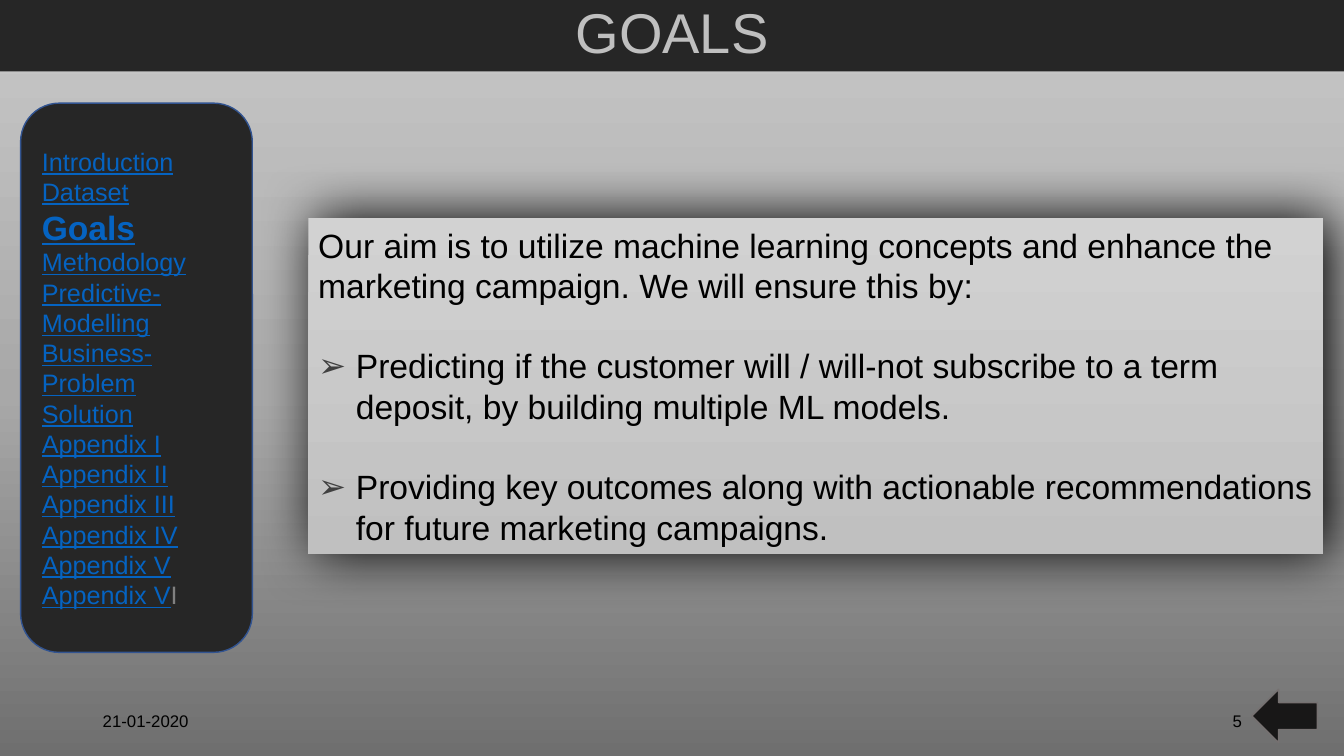
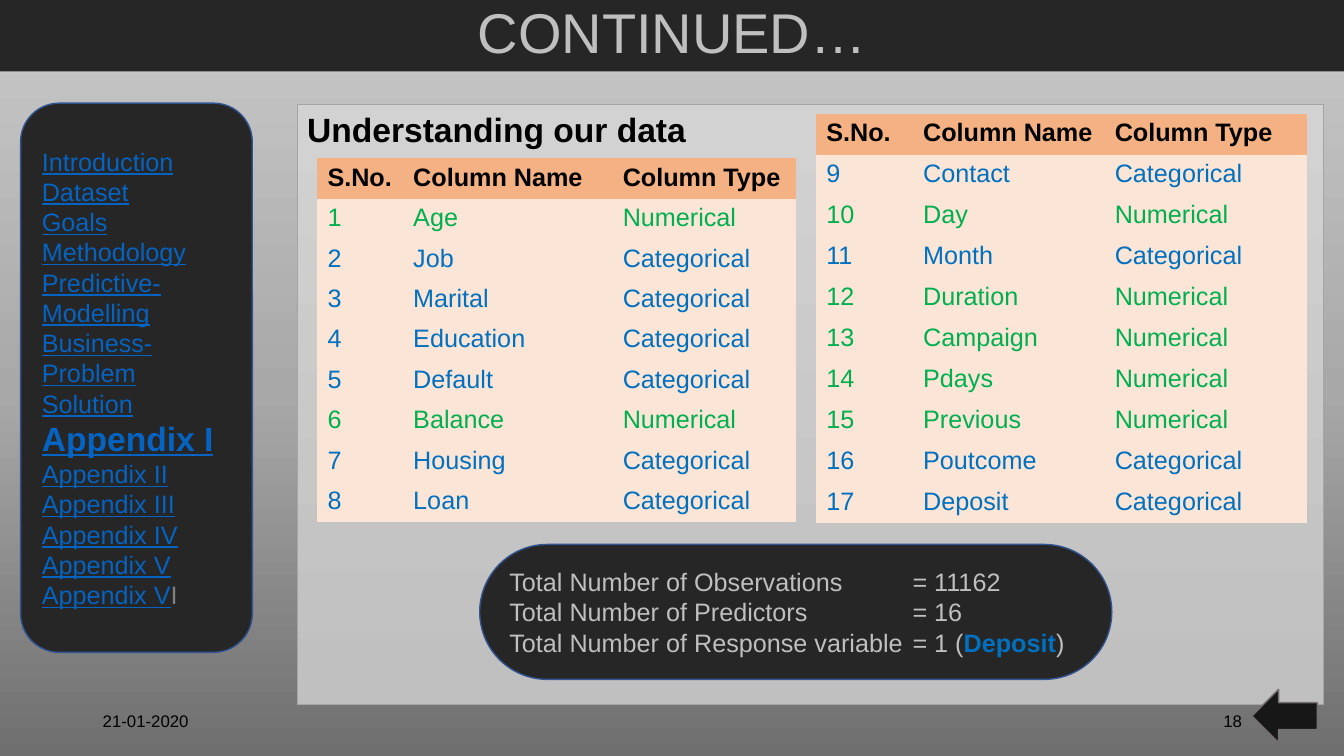
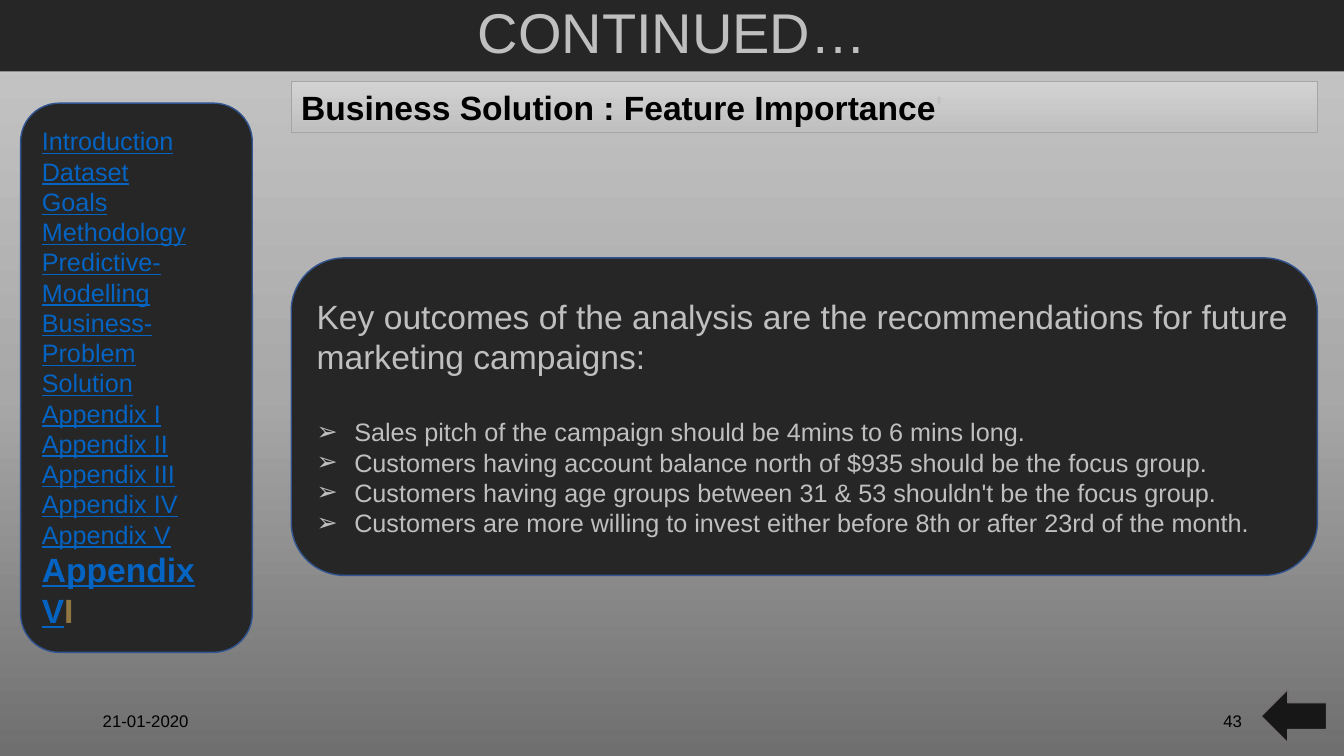
from dataclasses import dataclass

from lxml.etree import SubElement
from pptx import Presentation
from pptx.dml.color import RGBColor
from pptx.enum.shapes import MSO_SHAPE as Shape
from pptx.enum.text import MSO_ANCHOR as Anchor, MSO_AUTO_SIZE as AutoSize, PP_ALIGN as Align
from pptx.oxml.ns import qn
from pptx.util import Cm, Pt


@dataclass(frozen=True)
class Theme:
    font: str = "Arial"
    title_size: float = 40
    large: float = 24
    body: float = 18
    footer: float = 12
    dark: str = "262626"
    outline: str = "325491"
    light: str = "BFBFBF"
    black: str = "000000"
    link: str = "0563C1"
    link_end: str = "808080"
    link_end_current: str = "91763F"
    bullet: str = "404040"
    arrow: str = "181717"
    arrow_line: str = "767171"
    panel: tuple = ("D2D2D2", "C0C0C0")
    panel_line: str = "A5A5A5"
    page: tuple = ((0, "6F6F6F"), (48, "A8A8A8"), (100, "C9C9C9"))
    table_head: str = "F4B183"
    table_body: str = "FBE5D6"
    numerical: str = "00B050"
    categorical: str = "0070C0"


theme = Theme()


def write(frame, text, size=theme.body, color=theme.light, bold=False, underline=False,
          align=Align.LEFT, before=0, bullet=None, tab=None, same_line=False):
    paragraph = frame.paragraphs[-1]
    if not same_line:
        if paragraph.runs:
            paragraph = frame.add_paragraph()
        paragraph.alignment = align
        properties = paragraph._p.get_or_add_pPr()
        if bullet:
            properties.set("marL", str(Cm(0.95)))
            properties.set("indent", str(-Cm(0.95)))
            bullet_color = SubElement(properties, qn("a:buClr"))
            SubElement(bullet_color, qn("a:srgbClr"), val=bullet)
            SubElement(properties, qn("a:buFont"), typeface=theme.font)
            SubElement(properties, qn("a:buChar"), char="➢")
        if tab:
            tabs = SubElement(properties, qn("a:tabLst"))
            SubElement(tabs, qn("a:tab"), pos=str(tab), algn="l")
        if before:
            paragraph.space_before = Pt(before)
    run = paragraph.add_run()
    run.text = text
    run.font.name = theme.font
    run.font.size = Pt(size)
    run.font.bold = bold
    run.font.underline = underline
    run.font.color.rgb = RGBColor.from_string(color)
    return paragraph


def add_box(slide, kind, left, top, width, height, fill=theme.dark, line=theme.outline,
            line_width=1, anchor=Anchor.MIDDLE):
    shape = slide.shapes.add_shape(kind, Cm(left), Cm(top), Cm(width), Cm(height))
    shape.shadow.inherit = False
    if isinstance(fill, tuple):
        shape.fill.gradient()
        shape.fill.gradient_angle = 270
        for stop, color in zip(shape.fill.gradient_stops, fill):
            stop.color.rgb = RGBColor.from_string(color)
    else:
        shape.fill.solid()
        shape.fill.fore_color.rgb = RGBColor.from_string(fill)
    if line:
        shape.line.color.rgb = RGBColor.from_string(line)
        shape.line.width = Pt(line_width)
    else:
        shape.line.fill.background()
    shape.text_frame.vertical_anchor = anchor
    return shape


presentation = Presentation()
presentation.slide_width = Cm(33.87)
presentation.slide_height = Cm(19.05)

master = presentation.slide_master
master.background.fill.gradient()
master.background.fill.gradient_angle = 90
stops = master.element.find(".//" + qn("p:bg")).find(".//" + qn("a:gsLst"))
for stop in list(stops):
    stops.remove(stop)
for position, color in theme.page:
    stop = SubElement(stops, qn("a:gs"), pos=str(position * 1000))
    SubElement(stop, qn("a:srgbClr"), val=color)

title_only = presentation.slide_layouts[5]
goals, data, outcomes = [presentation.slides.add_slide(title_only) for _ in range(3)]

panel = add_box(goals, Shape.RECTANGLE, 7.77, 5.49, 25.58, 8.46, fill=theme.panel, line=None)
effects = panel.element.spPr.find(qn("a:effectLst"))
shadow = SubElement(effects, qn("a:outerShdw"), blurRad=str(Pt(40)), dist=str(Pt(5)),
                    dir="0", algn="ctr", rotWithShape="0")
SubElement(shadow, qn("a:srgbClr"), val=theme.black)
write(panel.text_frame, "Our aim is to utilize machine learning concepts and enhance the marketing "
      "campaign. We will ensure this by:", size=theme.large, color=theme.black)
for goal in (
    "Predicting if the customer will / will-not subscribe to a term deposit, by building "
    "multiple ML models.",
    "Providing key outcomes along with actionable recommendations for future marketing campaigns.",
):
    write(panel.text_frame, goal, size=theme.large, color=theme.black, before=28.8,
          bullet=theme.bullet)

panel = add_box(data, Shape.RECTANGLE, 7.49, 2.62, 25.86, 15.14, fill=theme.panel,
                line=theme.panel_line, line_width=0.5, anchor=Anchor.TOP)
write(panel.text_frame, "Understanding our data", size=theme.large, color=theme.black, bold=True)

columns = [
    ("Age", "Numerical"), ("Job", "Categorical"), ("Marital", "Categorical"),
    ("Education", "Categorical"), ("Default", "Categorical"), ("Balance", "Numerical"),
    ("Housing", "Categorical"), ("Loan", "Categorical"), ("Contact", "Categorical"),
    ("Day", "Numerical"), ("Month", "Categorical"), ("Duration", "Numerical"),
    ("Campaign", "Numerical"), ("Pdays", "Numerical"), ("Previous", "Numerical"),
    ("Poutcome", "Categorical"), ("Deposit", "Categorical"),
]
numbered = [(str(number), *column) for number, column in enumerate(columns, 1)]
for left, top, height, widths, rows in (
    (8, 3.99, 9.17, (2.16, 5.28, 4.62), numbered[:8]),
    (20.57, 2.87, 10.31, (2.44, 4.83, 5.11), numbered[8:]),
):
    rows = [("S.No.", "Column Name", "Column Type"), *rows]
    frame = data.shapes.add_table(len(rows), len(widths), Cm(left), Cm(top),
                                  Cm(sum(widths)), Cm(height))
    frame.element.find(".//" + qn("a:tableStyleId")).text = "{2D5ABB26-0587-4C30-8999-92F81FD0307C}"
    table = frame.table
    table.horz_banding = False
    for column, width in zip(table.columns, widths):
        column.width = Cm(width)
    for row_index, row in enumerate(rows):
        is_head = row_index == 0
        kind_color = theme.numerical if row[2] == "Numerical" else theme.categorical
        for column_index, value in enumerate(row):
            cell = table.cell(row_index, column_index)
            cell.fill.solid()
            cell.fill.fore_color.rgb = RGBColor.from_string(
                theme.table_head if is_head else theme.table_body)
            write(cell.text_frame, value, color=theme.black if is_head else kind_color,
                  bold=is_head)

totals = add_box(data, Shape.ROUNDED_RECTANGLE, 12.09, 13.72, 15.93, 3.4)
totals.adjustments[0] = 0.5
for label, value in (("Observations", "11162"), ("Predictors", "16"),
                     ("Response variable", "1 (")):
    write(totals.text_frame, f"Total Number of {label}\t= {value}", tab=Cm(10.16))
write(totals.text_frame, "Deposit", color=theme.categorical, bold=True, same_line=True)
write(totals.text_frame, ")", same_line=True)

heading = add_box(outcomes, Shape.RECTANGLE, 7.34, 2.06, 25.86, 1.27, fill=theme.panel,
                  line=theme.panel_line, line_width=0.5, anchor=Anchor.TOP)
write(heading.text_frame, "Business Solution : Feature Importance", size=theme.large,
      color=theme.black, bold=True)
write(heading.text_frame, "'", size=theme.large, same_line=True)

findings = add_box(outcomes, Shape.ROUNDED_RECTANGLE, 7.34, 6.5, 25.86, 8)
write(findings.text_frame, "Key outcomes of the analysis are the recommendations for future "
      "marketing campaigns:", size=theme.large)
for index, finding in enumerate((
    "Sales pitch of the campaign should be 4mins to 6 mins long.",
    "Customers having account balance north of $935 should be the focus group.",
    "Customers having age groups between 31 & 53 shouldn't be the focus group.",
    "Customers are more willing to invest either before 8th or after 23rd of the month.",
)):
    write(findings.text_frame, finding, before=0 if index else 28.8, bullet=theme.light)

sections = ["Introduction", "Dataset", "Goals", "Methodology", "Predictive-Modelling",
            "Business-Problem", "Solution", "Appendix I", "Appendix II", "Appendix III",
            "Appendix IV", "Appendix V", "Appendix VI"]
for slide, title_text, number, current, arrow_left in (
    (goals, "GOALS", "5", "Goals", 31.55),
    (data, "CONTINUED…", "18", "Appendix I", 31.55),
    (outcomes, "CONTINUED…", "43", "Appendix VI", 31.78),
):
    title = slide.shapes.title
    title.left, title.top, title.width, title.height = Cm(0), Cm(0), Cm(33.87), Cm(1.8)
    title.fill.solid()
    title.fill.fore_color.rgb = RGBColor.from_string(theme.dark)
    title.text_frame.auto_size = AutoSize.NONE
    title.text_frame.vertical_anchor = Anchor.MIDDLE
    paragraph = write(title.text_frame, title_text, size=theme.title_size, align=Align.CENTER)
    paragraph.line_spacing = 0.9

    for left, text, align in ((2.34, "21-01-2020", Align.LEFT), (23.93, number, Align.RIGHT)):
        footer = slide.shapes.add_textbox(Cm(left), Cm(17.65), Cm(7.62), Cm(1.02))
        footer.text_frame.word_wrap = True
        footer.text_frame.vertical_anchor = Anchor.MIDDLE
        write(footer.text_frame, text, size=theme.footer, color=theme.black, align=align)

    menu = add_box(slide, Shape.FLOWCHART_ALTERNATE_PROCESS, 0.52, 2.6, 5.84, 13.84)
    for section in sections:
        is_current = section == current
        size = theme.large if is_current else theme.body
        is_last = section == sections[-1]
        write(menu.text_frame, section[:-1] if is_last else section, size=size,
              color=theme.link, bold=is_current, underline=True)
        if is_last:
            write(menu.text_frame, section[-1], size=size, bold=is_current, same_line=True,
                  color=theme.link_end_current if is_current else theme.link_end)

    add_box(slide, Shape.LEFT_ARROW, arrow_left, 17.37, 1.65, 1.35, fill=theme.arrow,
            line=theme.arrow_line)

presentation.save("out.pptx")
